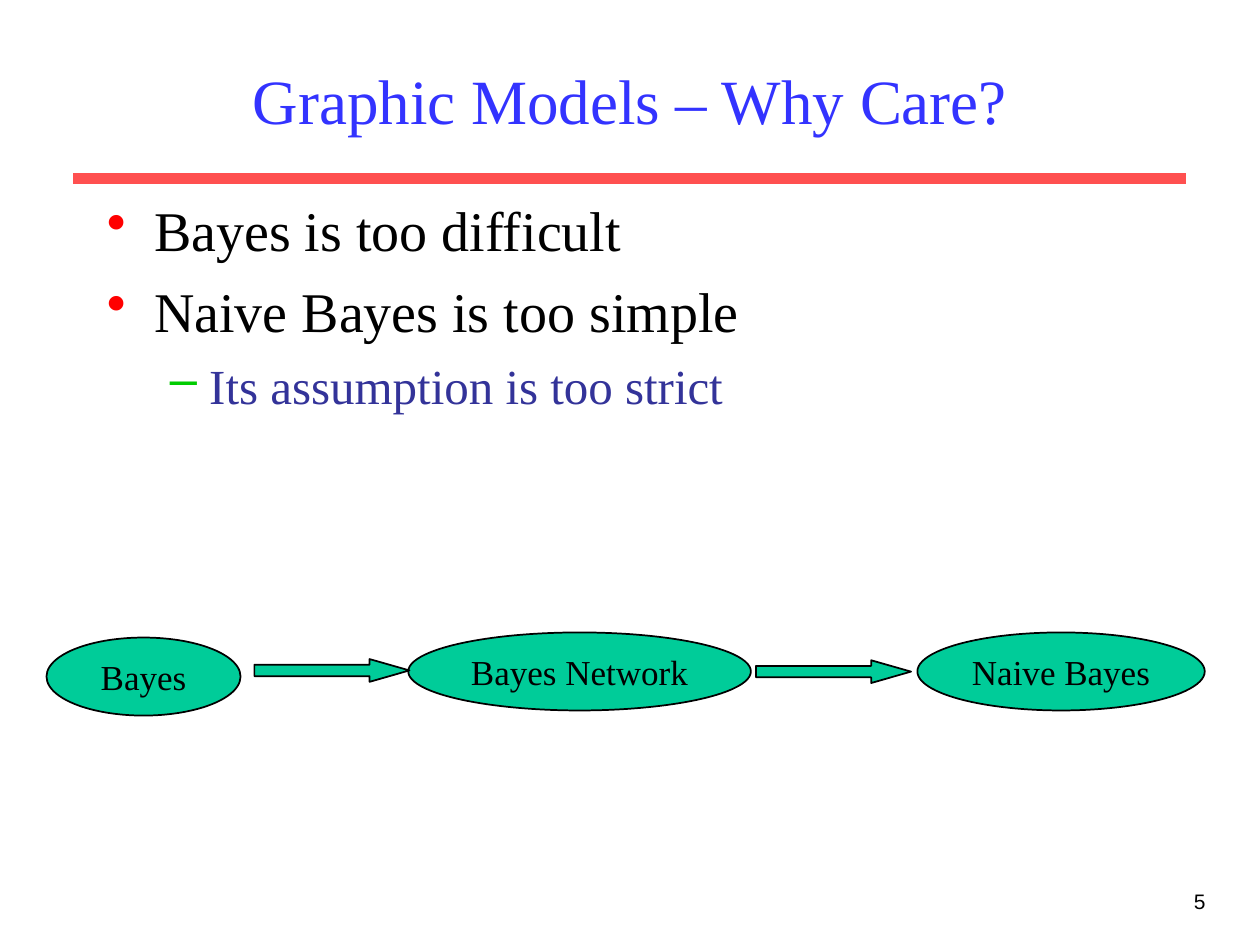
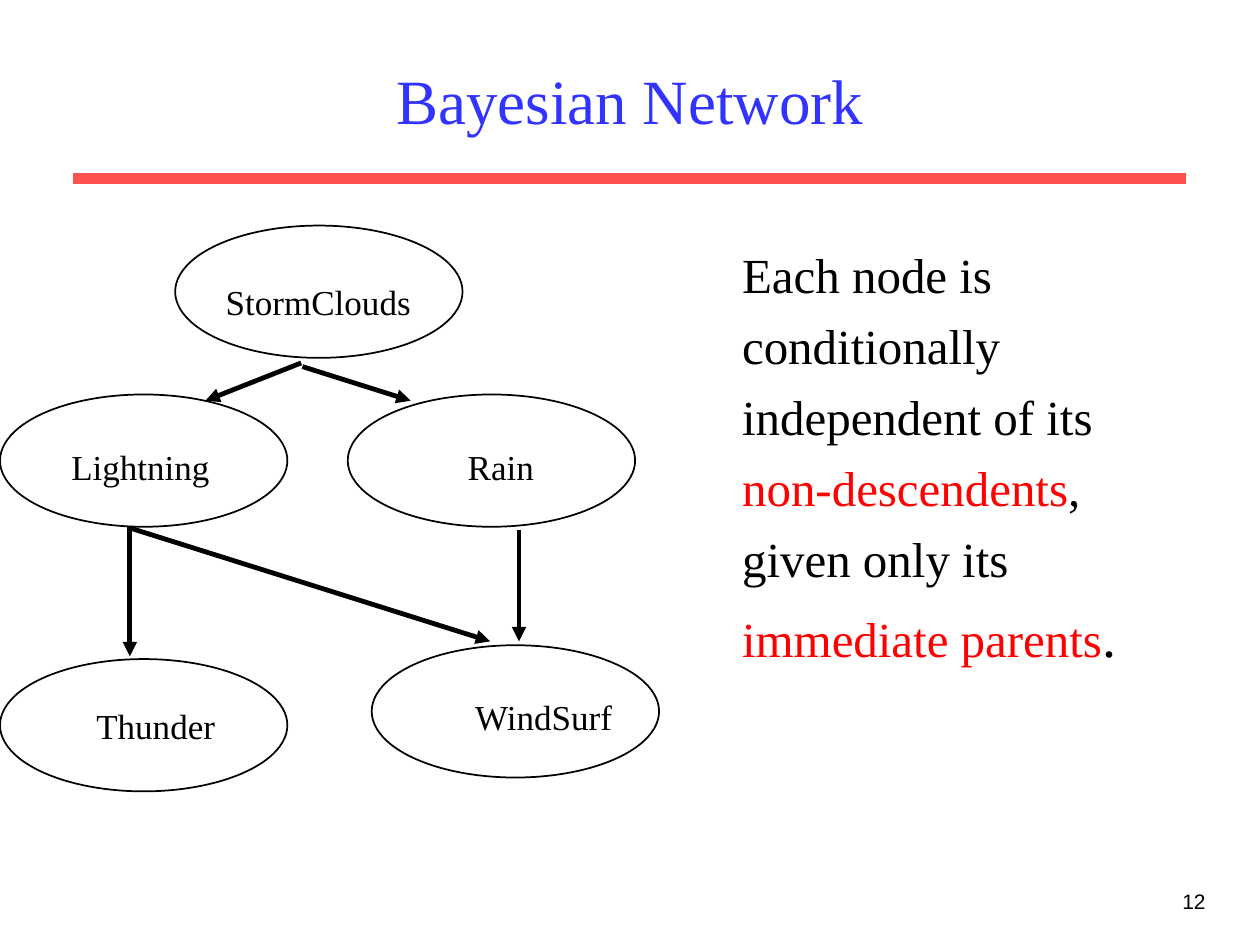
from lxml import etree
from pptx import Presentation
from pptx.dml.color import RGBColor
from pptx.enum.shapes import MSO_CONNECTOR, MSO_SHAPE
from pptx.enum.text import MSO_ANCHOR, PP_ALIGN
from pptx.oxml.ns import qn
from pptx.util import Pt

LINE = MSO_CONNECTOR.STRAIGHT
OVAL, ARROW = MSO_SHAPE.OVAL, MSO_SHAPE.RIGHT_ARROW
LEFT, MID, RIGHT = PP_ALIGN.LEFT, PP_ALIGN.CENTER, PP_ALIGN.RIGHT
TOP, CENTER = MSO_ANCHOR.TOP, MSO_ANCHOR.MIDDLE
SERIF, SANS = "Times New Roman", "Arial"
TITLE_ONLY = 5

COLORS = {
    "title": "3333FF", "rule": "FF5050", "ink": "000000", "sub": "333399",
    "red": "FF0000", "green": "00CC00", "teal": "00CC99",
}


def rgb(name):
    return RGBColor.from_string(COLORS[name])


def style(para, size, color="ink", font=SERIF, align=LEFT, before=0):
    para.alignment = align
    para.space_before = Pt(before)
    for run in para.runs:
        run.font.size, run.font.name = Pt(size), font
        run.font.color.rgb = rgb(color)


def text_box(slide, box):
    frame = slide.shapes.add_textbox(*map(Pt, box)).text_frame
    frame.word_wrap = True
    frame.vertical_anchor = TOP
    return frame


def label(slide, box, text, size, **look):
    frame = text_box(slide, box)
    frame.text = text
    style(frame.paragraphs[0], size, **look)


def shape(slide, kind, box, fill=None):
    item = slide.shapes.add_shape(kind, *map(Pt, box))
    item.shadow.inherit = False
    item.line.color.rgb, item.line.width = rgb("ink"), Pt(1)
    if fill:
        item.fill.solid()
        item.fill.fore_color.rgb = rgb(fill)
    else:
        item.fill.background()
    return item


def line(slide, ends, color, width, head=False):
    item = slide.shapes.add_connector(LINE, *map(Pt, ends))
    item.line.color.rgb, item.line.width = rgb(color), Pt(width)
    props = item.line._get_or_add_ln()
    if head:
        etree.SubElement(props, qn("a:tailEnd"), type="triangle")
    etree.SubElement(props.getparent(), qn("a:effectLst"))


def bullet(para, char, color, left, hang):
    props = para._p.get_or_add_pPr()
    props.set("marL", str(Pt(left)))
    props.set("indent", str(-Pt(hang)))
    tint = etree.SubElement(props, qn("a:buClr"))
    etree.SubElement(tint, qn("a:srgbClr"), val=COLORS[color])
    etree.SubElement(props, qn("a:buChar"), char=char)


# Shared frame: title, red rule and page number
def base(deck, title, page):
    slide = deck.slides.add_slide(deck.slide_layouts[TITLE_ONLY])
    head = slide.shapes.title
    head.left, head.top, head.width, head.height = map(Pt, (54, 18, 612, 78))
    head.text_frame.text = title
    head.text_frame.vertical_anchor = CENTER
    style(head.text_frame.paragraphs[0], 36, "title", align=MID)
    line(slide, (42, 102, 678, 102), "rule", 6)
    label(slide, (546, 504, 150, 36), str(page), 12, font=SANS, align=RIGHT)
    return slide


# Bulleted list with two levels
def points(slide, box, items):
    frame = text_box(slide, box)
    frame.text = "\n".join(text for text, _ in items)
    for para, (_, level) in zip(frame.paragraphs, items):
        para.level = level
        if level:
            style(para, 28, "sub", before=7)
            bullet(para, "–", "green", 58.5, 22.5)
        else:
            style(para, 32, before=8)
            bullet(para, "•", "red", 27, 27)


# Row of ovals with block arrows between them
def flow(slide, box):
    left, top = box
    for text, x, y, width in (("Bayes", 0, 2.9, 110.9),
                              ("Naive Bayes", 497.6, 0, 164.2),
                              ("Bayes Network", 206.7, 0, 195.8)):
        oval = shape(slide, OVAL, (left + x, top + y, width, 44.6), "teal")
        frame = oval.text_frame
        frame.text = text
        frame.word_wrap = False
        frame.vertical_anchor = CENTER
        style(frame.paragraphs[0], 20, align=MID)
    for x, y in ((118.8, 15.2), (405.4, 15.9)):
        arrow = shape(slide, ARROW, (left + x, top + y, 88.6, 13), "teal")
        arrow.adjustments[1] = 1.75


# Statement whose key words are red
def claim(slide, box, rows):
    frame = text_box(slide, box)
    frame.text = "\n".join(text for text, _, _ in rows)
    for para, (_, tail, size) in zip(frame.paragraphs, rows):
        style(para, 28, "red" if tail else "ink", before=size / 4)
        if tail:
            run = para.add_run()
            run.text = tail
            run.font.size, run.font.name = Pt(size), SERIF
            run.font.color.rgb = rgb("ink")


# Network graph: arrows, then each node with its label
def graph(slide, box):
    left, top = box
    for x1, y1, x2, y2 in ((74.2, 172.1, 74.2, 246.2),
                           (74.2, 172.8, 280.1, 237.6),
                           (296.6, 174.2, 296.6, 237.6),
                           (172.1, 78.5, 117.4, 100.1),
                           (172.8, 80.6, 234.7, 100.1)):
        ends = (left + x1, top + y1, left + x2, top + y2)
        line(slide, ends, "ink", 2.75, head=True)
    # Name, node corner, label offset from that corner, label width
    for text, x, y, dx, dy, width in (
            ("StormClouds", 100.1, 0, 17.3, 28.1, 128.9),
            ("Lightning", 0, 96.5, 0, 25.9, 160.6),
            ("Rain", 198.7, 96.5, 27.4, 25.9, 120.2),
            ("Thunder", 0, 247.7, 20.2, 22.3, 137.5),
            ("WindSurf", 212.4, 239.8, 23.8, 25.1, 149)):
        x, y = left + x, top + y
        shape(slide, OVAL, (x, y, 164.2, 75.6))
        label(slide, (x + dx, y + dy, width, 31.7), text, 20,
              align=MID, before=12.5)


def main():
    deck = Presentation()
    deck.slide_width, deck.slide_height = Pt(720), Pt(540)

    slide = base(deck, "Graphic Models – Why Care?", 5)
    points(slide, (54, 108, 612, 369), (
        ("Bayes is too difficult", 0),
        ("Naive Bayes is too simple", 0),
        ("Its assumption is too strict", 1)))
    flow(slide, (26.6, 361.4))

    slide = base(deck, "Bayesian Network", 12)
    claim(slide, (417, 136, 282, 369), (
        ("Each node is", "", 28),
        ("conditionally", "", 28),
        ("independent of its", "", 28),
        ("non-descendents", ",", 28),
        ("given only its", "", 28),
        ("immediate parents", ".", 32)))
    graph(slide, (0, 128.9))

    deck.save("out.pptx")


if __name__ == "__main__":
    main()
